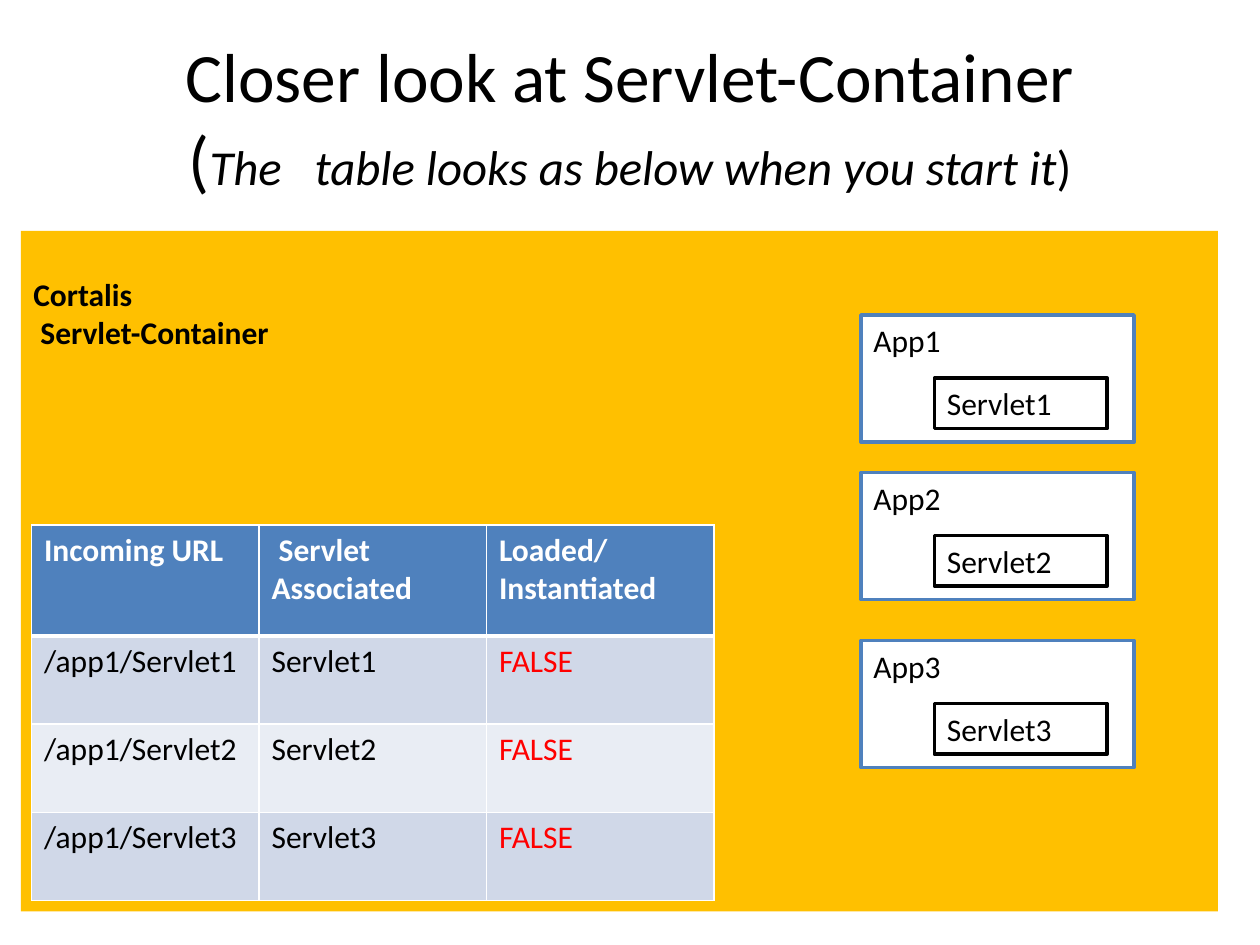
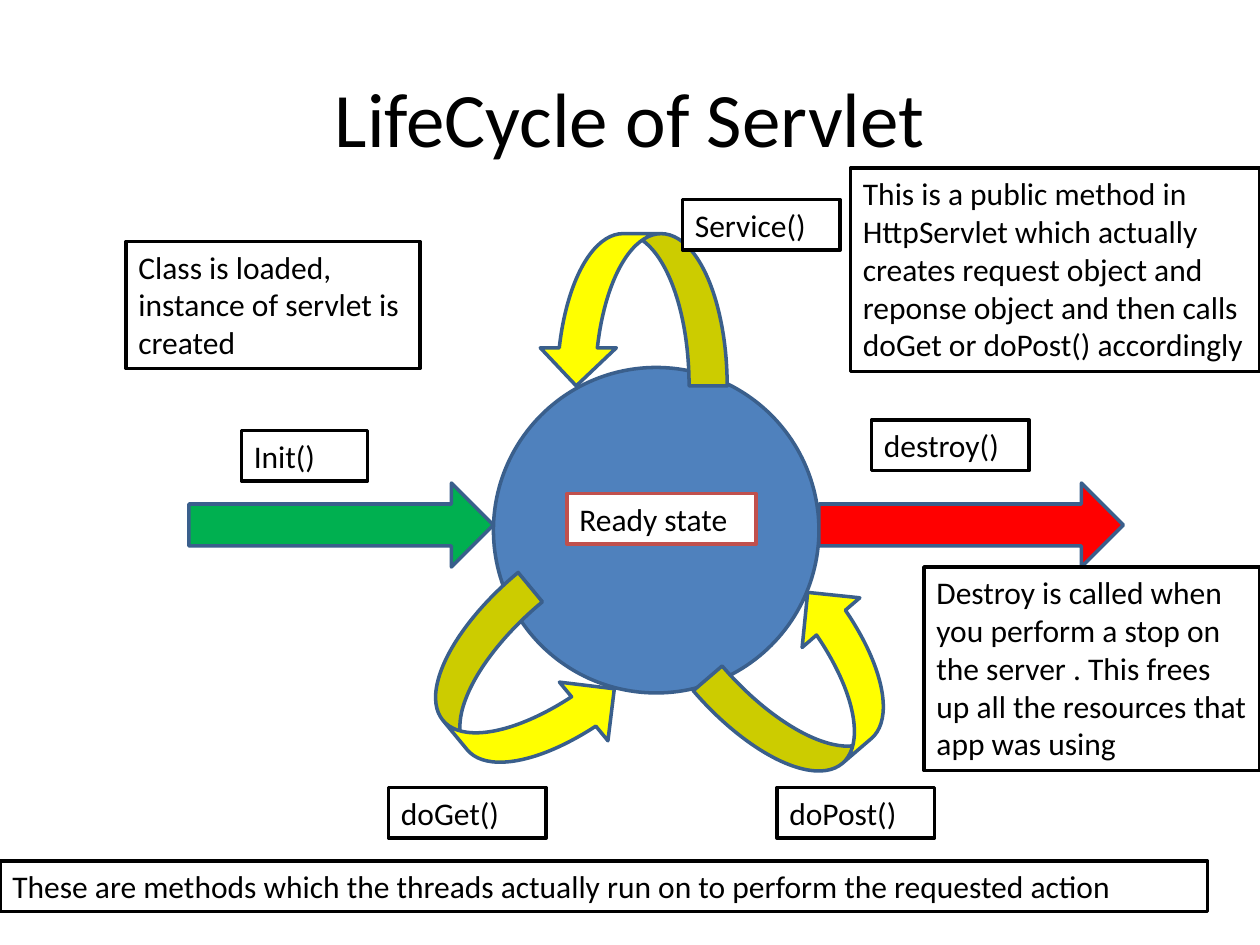
"""Build two slides on servlet containers and the servlet life cycle."""
from dataclasses import dataclass

from lxml import etree
from pptx import Presentation, util as u
from pptx.dml import color as dml
from pptx.enum import shapes as sh, text as tx
from pptx.oxml import ns


@dataclass(frozen=True)
class Theme:
    font: str = "Calibri"
    black: str = "000000"
    white: str = "FFFFFF"
    blue: str = "4F81BD"
    navy: str = "3A5F8C"
    amber: str = "FFC000"
    yellow: str = "FFFF00"
    green: str = "00B050"
    red: str = "FF0000"
    brick: str = "C0504D"
    bands: tuple = ("D0D8E8", "E9EDF4")
    body: float = 18
    title: float = 44
    long: float = 39.6
    sub: float = 27.9
    edge: float = 2
    inset: float = 3.6
    pitch: float = 21.82


@dataclass(frozen=True)
class Note:
    words: str
    x: float
    y: float
    w: float
    lines: int = 1
    line: str = "000000"


@dataclass(frozen=True)
class Form:
    kind: sh.MSO_SHAPE
    x: float
    y: float
    w: float
    h: float
    fill: str
    turn: float = 0


T = Theme()


def rgb(code: str) -> dml.RGBColor:
    return dml.RGBColor.from_string(code)


def style(run, size: float = T.body, ink: str = T.black,
          bold: bool = False, slant: bool = False) -> None:
    font = run.font
    font.name, font.size = T.font, u.Pt(size)
    font.bold, font.italic = bold, slant
    font.color.rgb = rgb(ink)


def paint(shape, fill: str, line: str) -> None:
    shape.fill.solid()
    shape.fill.fore_color.rgb = rgb(fill)
    shape.line.color.rgb = rgb(line)
    shape.line.width = u.Pt(T.edge)


def start(deck, size: float, words: str):
    slide = deck.slides.add_slide(deck.slide_layouts[5])
    title = slide.shapes.title
    title.left, title.top = u.Pt(36), u.Pt(21.6)
    title.width, title.height = u.Pt(648), u.Pt(90)
    frame = title.text_frame
    frame.auto_size = tx.MSO_AUTO_SIZE.NONE
    frame.vertical_anchor = tx.MSO_ANCHOR.MIDDLE
    para = frame.paragraphs[0]
    para.text = words
    para.alignment = tx.PP_ALIGN.CENTER
    for run in para.runs:
        style(run, size)
    return slide


def draw(slide, form: Form):
    shape = slide.shapes.add_shape(
        form.kind, *map(u.Pt, (form.x, form.y, form.w, form.h)))
    shape.shadow.inherit = False
    shape.rotation = form.turn
    paint(shape, form.fill, T.navy)
    return shape


def write(slide, note: Note) -> None:
    high = 2 * T.inset + note.lines * T.pitch
    box = slide.shapes.add_textbox(*map(u.Pt, (note.x, note.y, note.w, high)))
    paint(box, T.white, note.line)
    frame = box.text_frame
    frame.word_wrap = True
    frame.text = note.words
    style(frame.paragraphs[0].runs[0])


def edge(cell, side: str, width: float) -> None:
    line = etree.SubElement(cell._tc.get_or_add_tcPr(), ns.qn(f"a:ln{side}"),
                            w=str(u.Pt(width)))
    fill = etree.SubElement(line, ns.qn("a:solidFill"))
    etree.SubElement(fill, ns.qn("a:srgbClr"), val=T.white)


def grid(slide, rows: list[tuple[str, ...]]) -> None:
    highs = [63.4] + [50.4] * (len(rows) - 1)
    table = slide.shapes.add_table(
        len(rows), 3, *map(u.Pt, (18, 300, 390, sum(highs)))).table
    table.horz_banding = False
    for col in table.columns:
        col.width = u.Pt(130)
    for r, row in enumerate(rows):
        table.rows[r].height = u.Pt(highs[r])
        head = r == 0
        for c, words in enumerate(row):
            cell = table.cell(r, c)
            for side in "LRTB":
                thick = (head and side == "B") or (r == 1 and side == "T")
                edge(cell, side, 3 if thick else 1)
            cell.fill.solid()
            cell.fill.fore_color.rgb = rgb(T.blue if head else T.bands[(r - 1) % 2])
            cell.text_frame.text = words
            ink = T.white if head else T.red if c == 2 else T.black
            style(cell.text_frame.paragraphs[0].runs[0], ink=ink, bold=head)


def host(deck) -> None:
    slide = start(deck, T.long, "Closer look at Servlet-Container\v(")
    para = slide.shapes.title.text_frame.paragraphs[0]
    for words, slant in (("The   table looks as below when you start it", True),
                         (")", False)):
        run = para.add_run()
        run.text = words
        style(run, T.sub, slant=slant)

    panel = draw(slide, Form(sh.MSO_SHAPE.RECTANGLE, 12, 132, 684, 388.8, T.amber))
    panel.line.fill.background()
    frame = panel.text_frame
    frame.word_wrap = True
    frame.vertical_anchor = tx.MSO_ANCHOR.TOP
    frame.margin_top = u.Pt(T.inset + T.pitch)
    frame.text = "Cortalis\n Servlet-Container"
    for para in frame.paragraphs:
        para.alignment = tx.PP_ALIGN.LEFT
        style(para.runs[0], bold=True)

    for i, top in enumerate((180, 270, 366), 1):
        write(slide, Note(f"App{i}", 492, top, 156, 3, T.blue))
        write(slide, Note(f"Servlet{i}", 534, top + 36, 98.6))
    grid(slide, [("Incoming URL", " Servlet Associated", "Loaded/ Instantiated")]
         + [(f"/app1/Servlet{i}", f"Servlet{i}", "FALSE") for i in range(1, 4)])


def cycle(deck) -> None:
    slide = start(deck, T.title, "LifeCycle of Servlet")
    kinds = sh.MSO_SHAPE

    def loop(x: float, y: float, turn: float) -> Form:
        return Form(kinds.CURVED_RIGHT_ARROW, x, y, 87, 108, T.yellow, turn)

    def arrow(x: float, fill: str) -> Form:
        return Form(kinds.RIGHT_ARROW, x, 276, 174, 48, fill)

    items = [
        Form(kinds.OVAL, 282, 210, 186, 186, T.blue),
        Note("Ready state", 324, 282, 108, line=T.brick),
        arrow(108, T.green),
        Note("Init()", 138, 246, 72),
        Note("Class is loaded, instance of servlet is created", 72, 138, 168, 3),
        loop(318, 123, 90),
        Note("Service()", 390, 114, 90),
        Note("This is a public method in HttpServlet which actually creates "
             "request object and reponse object and then calls doGet or "
             "doPost() accordingly", 486, 96, 234, 5),
        loop(253.5, 342.5, 320.4),
        Note("doGet()", 222, 450, 90),
        loop(422, 338.5, 229.3),
        Note("doPost()", 444, 450, 90),
        Note("These are methods which the threads actually run on to perform "
             "the requested action", 0, 492, 690),
        arrow(468, T.red),
        Note("destroy()", 498, 240, 90),
        Note("Destroy is called when you perform a stop on the server . This "
             "frees up all the resources that app was using", 528, 324, 192, 5),
    ]
    for item in items:
        if isinstance(item, Note):
            write(slide, item)
        else:
            draw(slide, item)


def main() -> None:
    deck = Presentation()
    deck.slide_width, deck.slide_height = u.Pt(720), u.Pt(540)
    host(deck)
    cycle(deck)
    deck.save("out.pptx")


main()
